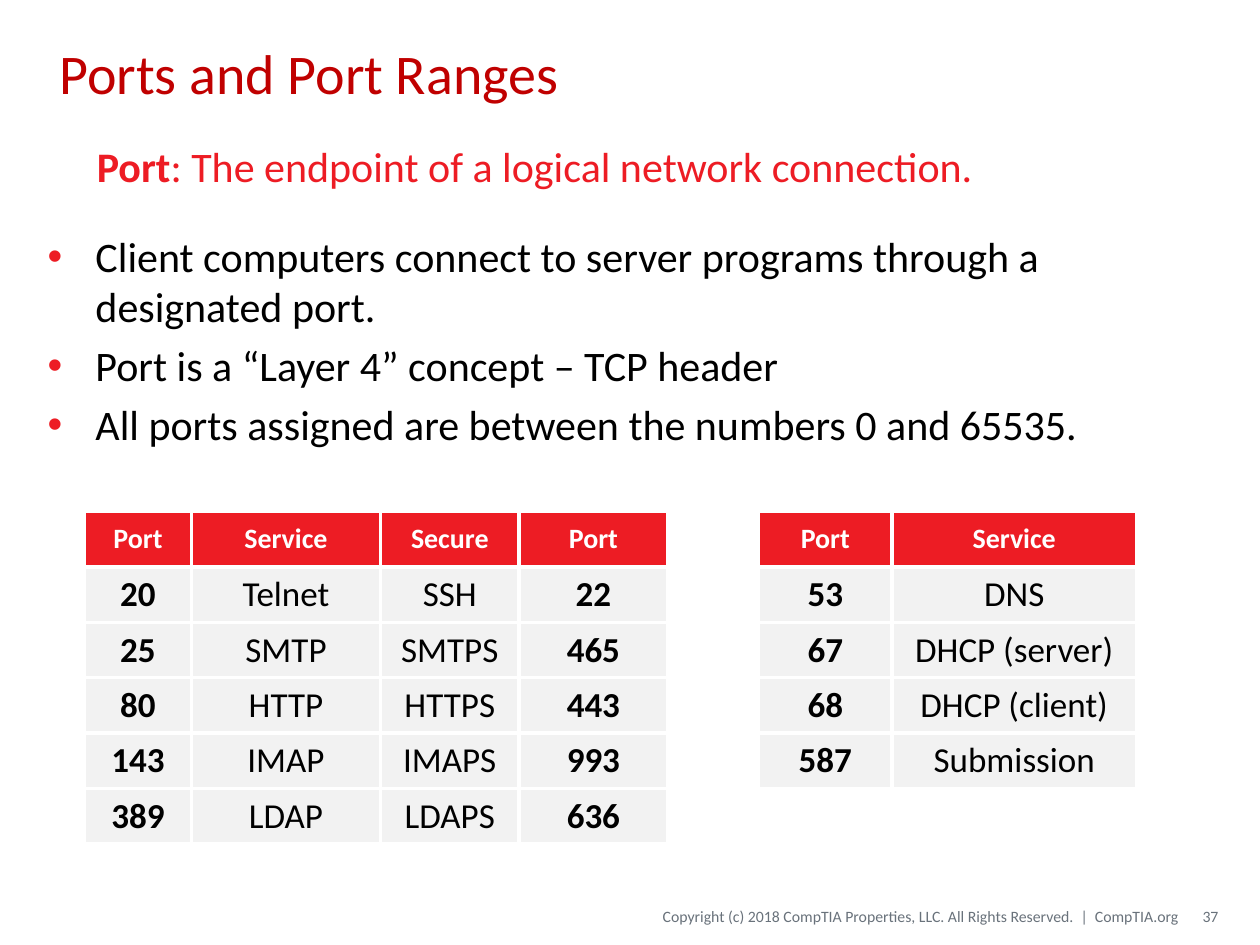
import pptx
import pptx.dml.color
import pptx.enum.text
import pptx.oxml
import pptx.oxml.ns
import pptx.util
from pptx.util import Inches

FONT = "Calibri"
RED, DARK_RED, BLACK, WHITE = "ED1C24", "C00000", "000000", "FFFFFF"
CELL_GREY, FOOTER_GREY = "F2F2F2", "69727B"
ALIGN = pptx.enum.text.PP_ALIGN
MIDDLE = pptx.enum.text.MSO_ANCHOR.MIDDLE
ROW_HEIGHT = 0.44

BULLETS = [
    "Client computers connect to server programs through a designated port.",
    "Port is a “Layer 4” concept – TCP header",
    "All ports assigned are between the numbers 0 and 65535.",
]
SECURE_PORTS = [
    ["Port", "Service", "Secure", "Port"],
    ["20", "Telnet", "SSH", "22"],
    ["25", "SMTP", "SMTPS", "465"],
    ["80", "HTTP", "HTTPS", "443"],
    ["143", "IMAP", "IMAPS", "993"],
    ["389", "LDAP", "LDAPS", "636"],
]
OTHER_PORTS = [
    ["Port", "Service"],
    ["53", "DNS"],
    ["67", "DHCP (server)"],
    ["68", "DHCP (client)"],
    ["587", "Submission"],
]
COPYRIGHT = "Copyright (c) 2018 CompTIA Properties, LLC. All Rights Reserved.  |  CompTIA.org"


def rgb(color):
    """Turn a hex string into a colour."""
    return pptx.dml.color.RGBColor.from_string(color)


def style(paragraph, size, color, bold=None, align=ALIGN.LEFT):
    """Set the font and alignment of a paragraph."""
    font = paragraph.font
    font.name, font.size, font.bold = FONT, pptx.util.Pt(size), bold
    font.color.rgb = rgb(color)
    paragraph.alignment = align


def add_frame(slide, left, top, width, height):
    """Add a wrapping text box and return its text frame."""
    frame = slide.shapes.add_textbox(
        Inches(left), Inches(top), Inches(width), Inches(height)).text_frame
    frame.word_wrap = True
    return frame


def add_title(slide, left, top, width, height):
    """Place and format the slide title."""
    title = slide.shapes.title
    title.left, title.top = Inches(left), Inches(top)
    title.width, title.height = Inches(width), Inches(height)
    frame = title.text_frame
    frame.text = "Ports and Port Ranges"
    frame.auto_size = pptx.enum.text.MSO_AUTO_SIZE.NONE
    frame.vertical_anchor = MIDDLE
    style(frame.paragraphs[0], 32, DARK_RED)


def add_definition(slide, left, top, width, height):
    """Add the definition with its term in bold."""
    definition = add_frame(slide, left, top, width, height).paragraphs[0]
    definition.add_run().text = "Port"
    definition.add_run().text = ": The endpoint of a logical network connection."
    style(definition, 24, RED)
    definition.runs[0].font.bold = True


def add_bullets(slide, left, top, width, height):
    """Add the bulleted statements about ports."""
    frame = add_frame(slide, left, top, width, height)
    for index, statement in enumerate(BULLETS):
        paragraph = frame.add_paragraph() if index else frame.paragraphs[0]
        paragraph.text = statement
        if index:
            paragraph.space_before = pptx.util.Pt(4.8)
        properties = paragraph._p.get_or_add_pPr()
        properties.set("marL", str(Inches(0.38)))
        properties.set("indent", str(-Inches(0.38)))
        namespace = pptx.oxml.ns.nsdecls("a")
        for bullet in (
            f'<a:buClr {namespace}><a:srgbClr val="{RED}"/></a:buClr>',
            f'<a:buFont {namespace} typeface="Arial"/>',
            f'<a:buChar {namespace} char="•"/>',
        ):
            properties.append(pptx.oxml.parse_xml(bullet))
        style(paragraph, 24, BLACK)


def add_borders(cell):
    """Draw white borders on all sides of a cell."""
    properties = cell._tc.get_or_add_tcPr()
    for side in "LRTB":
        properties.append(pptx.oxml.parse_xml(
            f'<a:ln{side} {pptx.oxml.ns.nsdecls("a")} w="{pptx.util.Pt(2.25)}">'
            f'<a:solidFill><a:srgbClr val="{WHITE}"/></a:solidFill></a:ln{side}>'))


def add_port_table(slide, left, top, column_widths, rows):
    """Add a table of ports with a red header and bold port numbers."""
    table = slide.shapes.add_table(
        len(rows), len(column_widths), Inches(left), Inches(top),
        Inches(sum(column_widths)), Inches(ROW_HEIGHT * len(rows))).table
    table.horz_banding = False
    for column, width in zip(table.columns, column_widths):
        column.width = Inches(width)
    for row_index, row in enumerate(rows):
        table.rows[row_index].height = Inches(ROW_HEIGHT)
        header = row_index == 0
        for column_index, entry in enumerate(row):
            cell = table.cell(row_index, column_index)
            cell.text = entry
            cell.vertical_anchor = MIDDLE
            add_borders(cell)
            cell.fill.solid()
            cell.fill.fore_color.rgb = rgb(RED if header else CELL_GREY)
            style(cell.text_frame.paragraphs[0], 16 if header else 20,
                  WHITE if header else BLACK, header or entry.isdigit(), ALIGN.CENTER)


def add_footer(slide, left, top, width, height):
    """Add the copyright line and the slide number at its right end."""
    number_width = 0.29
    line_width = width - number_width - 0.03
    for text, x, part_width in (
        (COPYRIGHT, left, line_width),
        ("37", left + width - number_width, number_width),
    ):
        frame = add_frame(slide, x, top, part_width, height)
        frame.margin_left = frame.margin_right = 0
        frame.vertical_anchor = MIDDLE
        frame.text = text
        style(frame.paragraphs[0], 9, FOOTER_GREY, align=ALIGN.RIGHT)


def main():
    """Build and save the slide."""
    presentation = pptx.Presentation()
    presentation.slide_width, presentation.slide_height = Inches(10), Inches(7.5)
    slide = presentation.slides.add_slide(presentation.slide_layouts[5])
    add_title(slide, 0.37, 0.11, 9.25, 0.92)
    add_bullets(slide, 0.28, 1.78, 9.53, 5.2)
    add_definition(slide, 0.67, 1.07, 7.63, 0.83)
    add_port_table(slide, 6.02, 4.06, [1.06, 1.94], OTHER_PORTS)
    add_port_table(slide, 0.67, 4.06, [0.85, 1.5, 1.1, 1.18], SECURE_PORTS)
    add_footer(slide, 3.88, 7.12, 5.79, 0.3)
    presentation.save("out.pptx")


if __name__ == "__main__":
    main()
